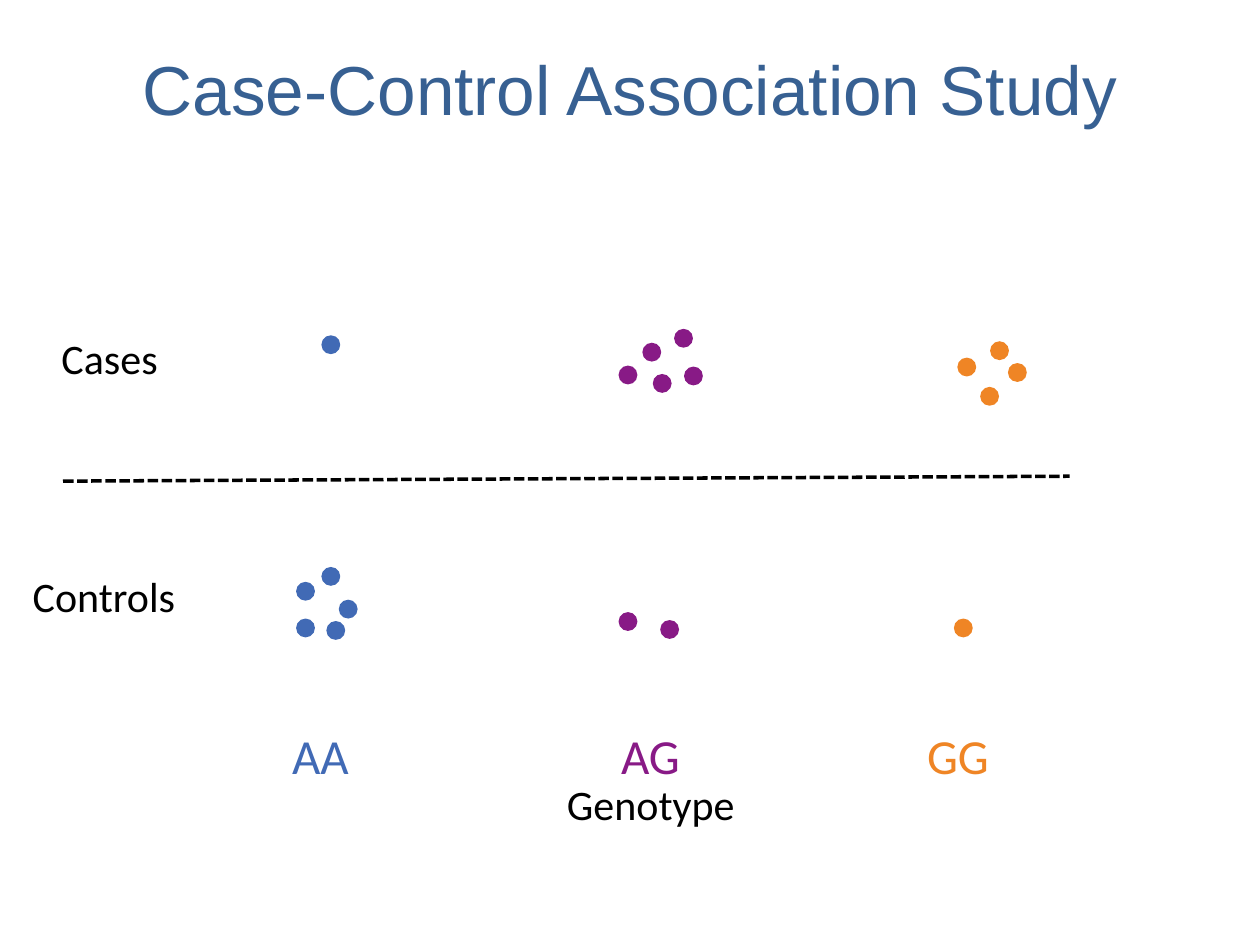
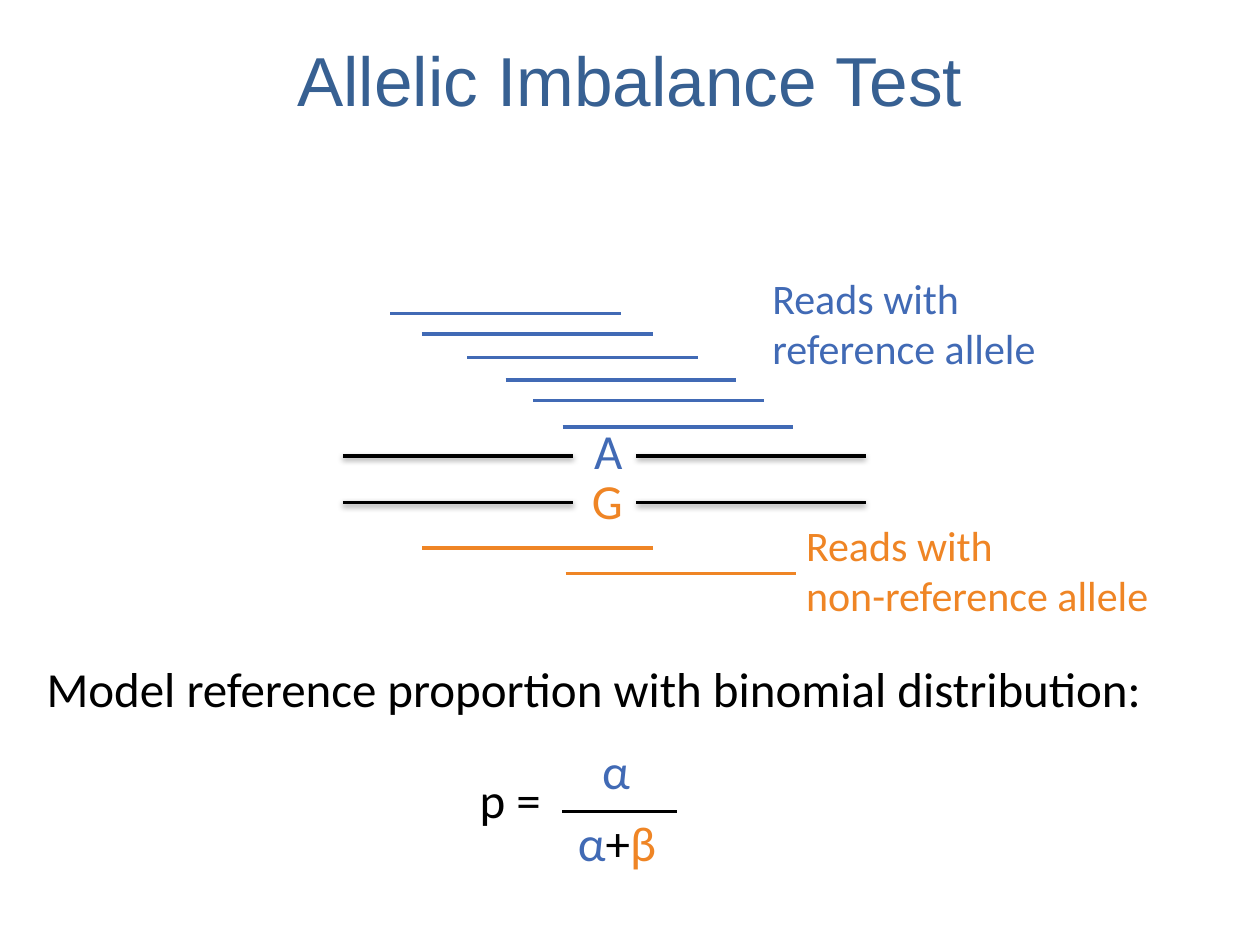
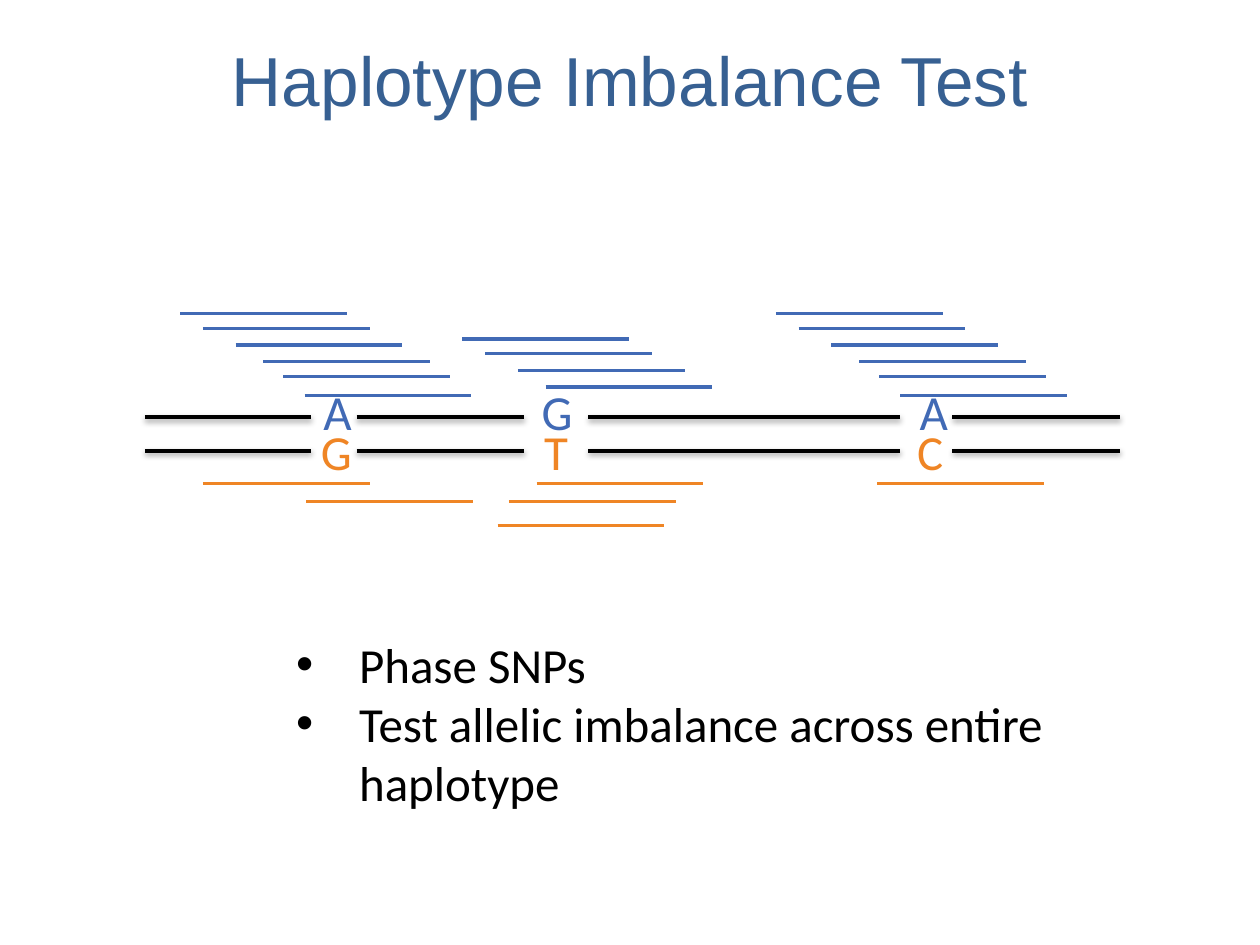
import dataclasses

import lxml.etree
import pptx
import pptx.dml.color
import pptx.enum.dml
import pptx.enum.shapes
import pptx.enum.text
import pptx.oxml.ns
import pptx.util

Cm = pptx.util.Cm
BLUE, PURPLE, ORANGE, BLACK, TITLE_BLUE = "416AB5", "881A86", "EF8525", "000000", "376092"
DOT_SIZE = 0.38
BASE_READ_LENGTH = 3.36
READ_STEPS = [(0, 0), (0.46, 0.3), (1.12, 0.64), (1.68, 0.97), (2.08, 1.27), (2.51, 1.65)]


@dataclasses.dataclass(frozen=True)
class Run:
    text: str
    color: str = BLACK


@dataclasses.dataclass(frozen=True)
class Label:
    left: float
    top: float
    width: float
    paragraphs: list[list[Run]]
    size: float = 28
    height: float = 1.45
    font: str = "Calibri"
    wrap: bool = False
    bullet: bool = False
    title: bool = False


@dataclasses.dataclass(frozen=True)
class Line:
    left: float
    top: float
    right: float
    bottom: float
    color: str = BLACK
    shadow: bool = False
    dashed: bool = False


@dataclasses.dataclass(frozen=True)
class Genotype:
    name: str
    color: str
    left: float
    width: float
    dots: list[tuple[float, float]]


@dataclasses.dataclass(frozen=True)
class Site:
    reference: str
    alternative: str
    reference_left: float
    alternative_left: float
    reads_left: float
    reads_top: float
    read_count: int
    alternative_reads: list[tuple[float, float]]


def rgb(color: str) -> pptx.dml.color.RGBColor:
    return pptx.dml.color.RGBColor.from_string(color)


def add_element(parent, tag: str, **attributes: str):
    return lxml.etree.SubElement(parent, pptx.oxml.ns.qn(tag), attributes)


def add_bullet(paragraph) -> None:
    properties = paragraph._p.get_or_add_pPr()
    properties.set("marL", str(Cm(1.27)))
    properties.set("indent", str(-Cm(1.27)))
    add_element(properties, "a:buFont", typeface="Arial")
    add_element(properties, "a:buChar", char="•")


def add_label(slide, label: Label) -> None:
    shape = slide.shapes.add_textbox(Cm(label.left), Cm(label.top), Cm(label.width), Cm(label.height))
    frame = shape.text_frame
    frame.word_wrap = label.wrap
    if label.title:
        frame.vertical_anchor = pptx.enum.text.MSO_ANCHOR.MIDDLE
    else:
        frame.auto_size = pptx.enum.text.MSO_AUTO_SIZE.SHAPE_TO_FIT_TEXT
    for index, runs in enumerate(label.paragraphs):
        paragraph = frame.add_paragraph() if index else frame.paragraphs[0]
        if label.bullet:
            add_bullet(paragraph)
        if label.title:
            paragraph.alignment = pptx.enum.text.PP_ALIGN.CENTER
        for item in runs:
            run = paragraph.add_run()
            run.text = item.text
            run.font.name = label.font
            run.font.size = pptx.util.Pt(label.size)
            run.font.color.rgb = rgb(item.color)


def add_line(slide, line: Line) -> None:
    connector = slide.shapes.add_connector(
        pptx.enum.shapes.MSO_CONNECTOR.STRAIGHT,
        Cm(line.left), Cm(line.top), Cm(line.right), Cm(line.bottom),
    )
    connector.line.color.rgb = rgb(line.color)
    connector.line.width = pptx.util.Pt(2)
    if line.dashed:
        connector.line.dash_style = pptx.enum.dml.MSO_LINE.SQUARE_DOT
    effects = add_element(connector._element.spPr, "a:effectLst")
    if line.shadow:
        shadow = add_element(effects, "a:outerShdw", blurRad="40000", dist="20000",
                             dir="5400000", rotWithShape="0")
        color = add_element(shadow, "a:srgbClr", val=BLACK)
        add_element(color, "a:alpha", val="38000")


def add_dot(slide, left: float, top: float, color: str) -> None:
    shape = slide.shapes.add_shape(pptx.enum.shapes.MSO_SHAPE.OVAL,
                                   Cm(left), Cm(top), Cm(DOT_SIZE), Cm(DOT_SIZE))
    shape.shadow.inherit = False
    shape.fill.solid()
    shape.fill.fore_color.rgb = rgb(color)
    shape.line.fill.background()


def add_titled_slide(presentation, title: str, top: float = 0.58):
    slide = presentation.slides.add_slide(presentation.slide_layouts[6])
    add_label(slide, Label(1.27, top, 22.86, [[Run(title, TITLE_BLUE)]], 39.6, 2.03,
                           "Arial", wrap=True, title=True))
    return slide


def add_strands(slide, segments: list[tuple[float, float]], tops: tuple[float, float]) -> None:
    for top in tops:
        for left, right in segments:
            add_line(slide, Line(left, top, right, top, shadow=True))


def add_site(slide, site: Site, letter_tops: tuple[float, float], read_length: float) -> None:
    scale = read_length / BASE_READ_LENGTH
    reference_reads = [(site.reads_left + x * scale, site.reads_top + y * scale)
                       for x, y in READ_STEPS[:site.read_count]]
    alleles = [
        (site.reference, site.reference_left, BLUE, reference_reads),
        (site.alternative, site.alternative_left, ORANGE, site.alternative_reads),
    ]
    for (letter, letter_left, color, reads), letter_top in zip(alleles, letter_tops):
        add_label(slide, Label(letter_left, letter_top, 1.12, [[Run(letter, color)]]))
        for left, top in reads:
            add_line(slide, Line(left, top, left + read_length, top, color))


def build_case_control(presentation) -> None:
    slide = add_titled_slide(presentation, "Case-Control Association Study", 0.76)
    genotypes = [
        Genotype("AA", BLUE, 5.64, 1.68, [(6.48, 6.76), (6.48, 11.43), (5.97, 12.47),
                                          (6.83, 12.09), (5.97, 11.73), (6.58, 12.52)]),
        Genotype("AG", PURPLE, 12.27, 1.73, [(12.47, 7.37), (12.95, 6.91), (13.79, 7.39),
                                             (13.16, 7.54), (13.59, 6.63), (13.31, 12.5),
                                             (12.47, 12.34)]),
        Genotype("GG", ORANGE, 18.44, 1.78, [(19.3, 7.21), (19.76, 7.8), (19.96, 6.88),
                                             (20.32, 7.32), (19.23, 12.47)]),
    ]
    for genotype in genotypes:
        add_label(slide, Label(genotype.left, 14.5, genotype.width,
                               [[Run(genotype.name, genotype.color)]]))
        for left, top in genotype.dots:
            add_dot(slide, left, top, genotype.color)
    for text, left, top, width in [("Cases", 0.99, 6.58, 2.46), ("Controls", 0.41, 11.38, 3.4),
                                   ("Genotype", 11.18, 15.57, 3.94)]:
        add_label(slide, Label(left, top, width, [[Run(text)]], 24, 1.27))
    add_line(slide, Line(1.27, 9.7, 21.56, 9.6, dashed=True))


def build_allelic_imbalance(presentation) -> None:
    slide = add_titled_slide(presentation, "Allelic Imbalance Test")
    add_strands(slide, [(6.91, 11.56), (12.83, 17.45)], (9.19, 10.13))
    add_site(slide, Site("A", "G", 11.73, 11.68, 7.87, 6.32, 6, [(8.51, 11.05), (11.4, 11.56)]),
             (8.36, 9.37), 4.65)
    for left, top, width, allele, color in [(15.32, 5.36, 9.98, "reference allele", BLUE),
                                            (16, 10.34, 9.3, "non-reference allele", ORANGE)]:
        add_label(slide, Label(left, top, width, [[Run("Reads with", color)], [Run(allele, color)]],
                               24, 2.31, wrap=True))
    sentence = "Model reference proportion with binomial distribution:"
    add_label(slide, Label(0.69, 13.16, 22.91, [[Run(sentence)]]))
    add_label(slide, Label(9.42, 15.39, 1.75, [[Run("p =")]]))
    add_label(slide, Label(11.89, 14.81, 1.07, [[Run("α", BLUE)]]))
    add_label(slide, Label(11.4, 16.26, 2.11, [[Run("α", BLUE), Run("+"), Run("β", ORANGE)]]))
    add_line(slide, Line(11.33, 16.36, 13.64, 16.36))


def build_haplotype_imbalance(presentation) -> None:
    slide = add_titled_slide(presentation, "Haplotype Imbalance Test")
    add_strands(slide, [(2.92, 6.27), (7.19, 10.57), (11.86, 18.14), (19.2, 22.58)], (8.41, 9.09))
    sites = [
        Site("A", "G", 6.27, 6.22, 3.63, 6.32, 6, [(4.09, 9.75), (6.17, 10.11)]),
        Site("G", "T", 10.67, 10.72, 9.32, 6.83, 4,
             [(10.82, 9.75), (10.26, 10.11), (10.03, 10.59)]),
        Site("A", "C", 18.29, 18.24, 15.64, 6.32, 6, [(17.68, 9.75)]),
    ]
    for site in sites:
        add_site(slide, site, (7.57, 8.38), BASE_READ_LENGTH)
    steps = ["Phase SNPs", "Test allelic imbalance across entire haplotype"]
    add_label(slide, Label(5.72, 12.67, 17.78, [[Run(step)] for step in steps],
                           height=3.84, wrap=True, bullet=True))


def main() -> None:
    presentation = pptx.Presentation()
    presentation.slide_width = Cm(25.4)
    presentation.slide_height = Cm(19.05)
    build_case_control(presentation)
    build_allelic_imbalance(presentation)
    build_haplotype_imbalance(presentation)
    presentation.save("out.pptx")


if __name__ == "__main__":
    main()
